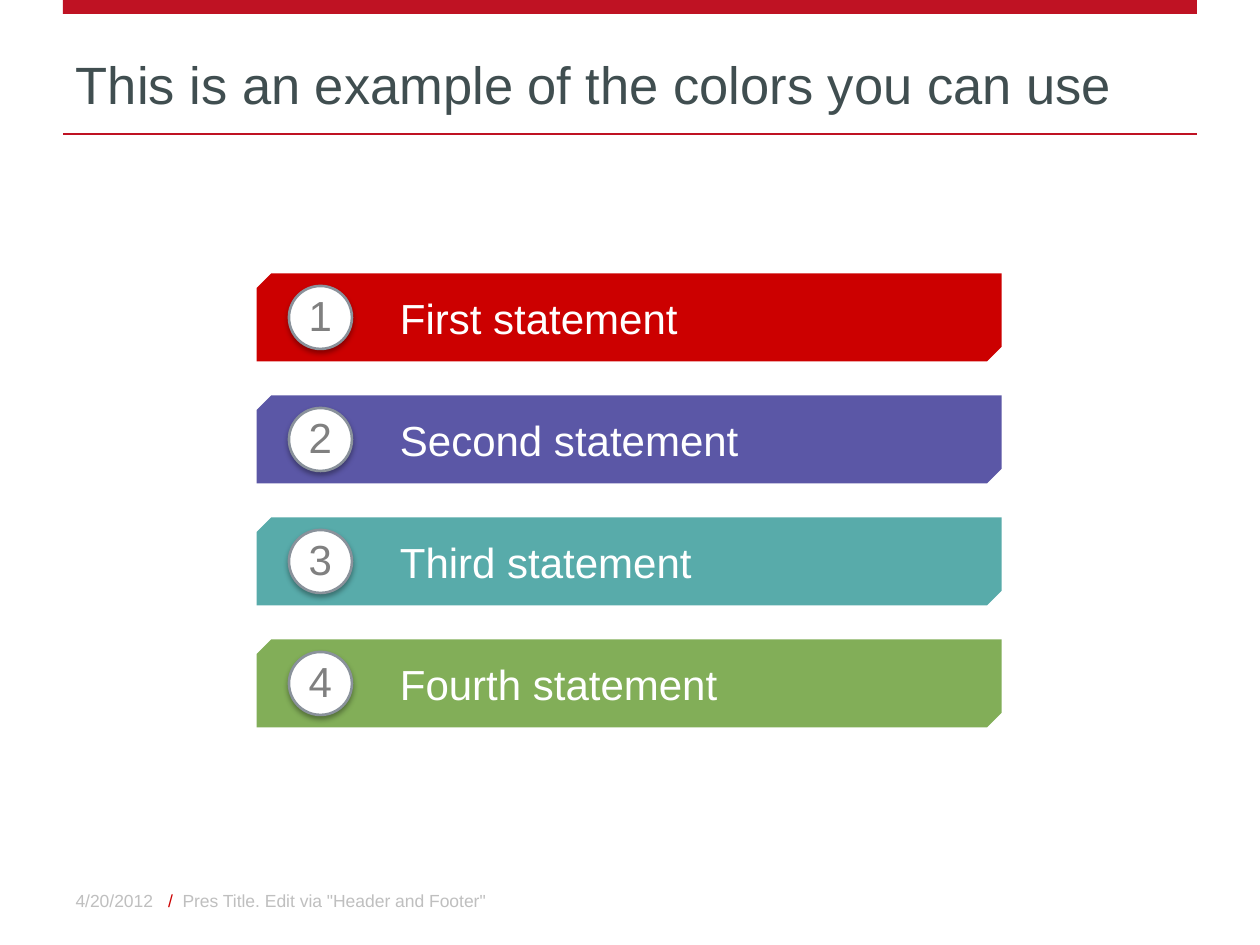
from dataclasses import dataclass

from lxml import etree
from pptx import Presentation
from pptx.dml.color import RGBColor
from pptx.enum.shapes import MSO_CONNECTOR, MSO_SHAPE
from pptx.enum.text import MSO_ANCHOR, PP_ALIGN
from pptx.oxml.ns import qn
from pptx.util import Emu, Pt

EMU_PER_PX = 914400 / 126
STRAIGHT = MSO_CONNECTOR.STRAIGHT
RECTANGLE, OVAL = MSO_SHAPE.RECTANGLE, MSO_SHAPE.OVAL
SNIPPED = MSO_SHAPE.SNIP_2_DIAG_RECTANGLE
MIDDLE, BOTTOM = MSO_ANCHOR.MIDDLE, MSO_ANCHOR.BOTTOM
LEFT, CENTER, RIGHT = PP_ALIGN.LEFT, PP_ALIGN.CENTER, PP_ALIGN.RIGHT

FONT = "Arial"
BRAND_RED = "BF1223"
SLASH_RED = "CC0000"
FOOTER_GRAY = "BFBFBF"
BAR_LEFT, BAR_TOP, BAR_WIDTH, BAR_HEIGHT, BAR_PITCH = 257, 273, 745, 88, 122
BADGE_LEFT, BADGE_SIZE = 289, 63
LABEL_LEFT, LABEL_WIDTH, LABEL_HEIGHT = 400, 592, 73


@dataclass(frozen=True)
class Box:
    left: int
    top: int
    width: int
    height: int


@dataclass(frozen=True)
class TextRun:
    text: str
    size: int
    color: str


@dataclass(frozen=True)
class Statement:
    text: str
    color: str


STATEMENTS = [
    Statement("First statement", "CC0000"),
    Statement("Second statement", "5B57A6"),
    Statement("Third statement", "58ABAA"),
    Statement("Fourth statement", "82AE58"),
]


def px(length: float) -> Emu:
    return Emu(round(length * EMU_PER_PX))


def rgb(color: str) -> RGBColor:
    return RGBColor.from_string(color)


def edges(box: Box) -> list[Emu]:
    return [px(box.left), px(box.top), px(box.width), px(box.height)]


def write_runs(paragraph, runs: list[TextRun]) -> None:
    for item in runs:
        run = paragraph.add_run()
        run.text = item.text
        run.font.name = FONT
        run.font.size = Pt(item.size)
        run.font.color.rgb = rgb(item.color)


def add_text(slide, box: Box, runs: list[TextRun], align=LEFT, anchor=MIDDLE,
             side_inset: int = 13) -> None:
    frame = slide.shapes.add_textbox(*edges(box)).text_frame
    frame.word_wrap = True
    frame.vertical_anchor = anchor
    frame.margin_left = frame.margin_right = px(side_inset)
    paragraph = frame.paragraphs[0]
    paragraph.alignment = align
    write_runs(paragraph, runs)


def add_filled_shape(slide, kind, box: Box, color: str):
    shape = slide.shapes.add_shape(kind, *edges(box))
    shape.shadow.inherit = False
    shape.fill.solid()
    shape.fill.fore_color.rgb = rgb(color)
    shape.line.fill.background()
    return shape


def add_drop_shadow(shape) -> None:
    effects = shape._element.spPr.find(qn("a:effectLst"))
    shadow = etree.SubElement(effects, qn("a:outerShdw"), blurRad=str(Pt(3.1)),
                              dist=str(Pt(1.8)), dir="5400000", rotWithShape="0")
    color = etree.SubElement(shadow, qn("a:srgbClr"), val="000000")
    etree.SubElement(color, qn("a:alpha"), val="35000")


def add_rule(slide, left: int, right: int, top: int) -> None:
    rule = slide.shapes.add_connector(STRAIGHT, px(left), px(top), px(right), px(top))
    rule.line.color.rgb = rgb(BRAND_RED)
    rule.line.width = Pt(1)
    etree.SubElement(rule._element.spPr, qn("a:effectLst"))


def add_bar(slide, middle: int, statement: Statement) -> None:
    """Draw an upright snipped rectangle turned a quarter, with its label."""
    upright = Box(BAR_LEFT + (BAR_WIDTH - BAR_HEIGHT) // 2, middle - BAR_WIDTH // 2,
                  BAR_HEIGHT, BAR_WIDTH)
    add_filled_shape(slide, SNIPPED, upright, statement.color).rotation = 90
    label = Box(LABEL_LEFT, middle - LABEL_HEIGHT // 2, LABEL_WIDTH, LABEL_HEIGHT)
    add_text(slide, label, [TextRun(statement.text, 24, "FFFFFF")], side_inset=0)


def add_badge(slide, middle: int, number: int) -> None:
    box = Box(BADGE_LEFT, middle - BADGE_SIZE // 2, BADGE_SIZE, BADGE_SIZE)
    badge = add_filled_shape(slide, OVAL, box, "FFFFFF")
    badge.line.color.rgb = rgb("8A929B")
    badge.line.width = Pt(1.5)
    add_drop_shadow(badge)
    frame = badge.text_frame
    frame.word_wrap = False
    frame.vertical_anchor = MIDDLE
    frame.margin_left = frame.margin_right = 0
    frame.margin_top = frame.margin_bottom = 0
    paragraph = frame.paragraphs[0]
    paragraph.alignment = CENTER
    paragraph.line_spacing = 0.9
    write_runs(paragraph, [TextRun(str(number), 24, "808080")])


def main() -> None:
    presentation = Presentation()
    presentation.slide_width, presentation.slide_height = px(1260), px(945)
    slide = presentation.slides.add_slide(presentation.slide_layouts[6])

    add_filled_shape(slide, RECTANGLE, Box(63, 0, 1134, 14), BRAND_RED)
    add_rule(slide, 63, 1197, 134)
    add_text(slide, Box(63, 35, 1134, 86),
             [TextRun("This is an example of the colors you can use", 30, "404E50")],
             anchor=BOTTOM)

    add_text(slide, Box(20, 876, 146, 50),
             [TextRun("4/20/2012", 10, FOOTER_GRAY)], align=RIGHT)
    add_text(slide, Box(155, 876, 399, 50),
             [TextRun("/ ", 10, SLASH_RED),
              TextRun(' Pres Title. Edit via "Header and Footer"', 10, FOOTER_GRAY)])

    for index, statement in enumerate(STATEMENTS):
        middle = BAR_TOP + BAR_HEIGHT // 2 + index * BAR_PITCH
        add_bar(slide, middle, statement)
        add_badge(slide, middle, index + 1)

    presentation.save("out.pptx")


if __name__ == "__main__":
    main()
